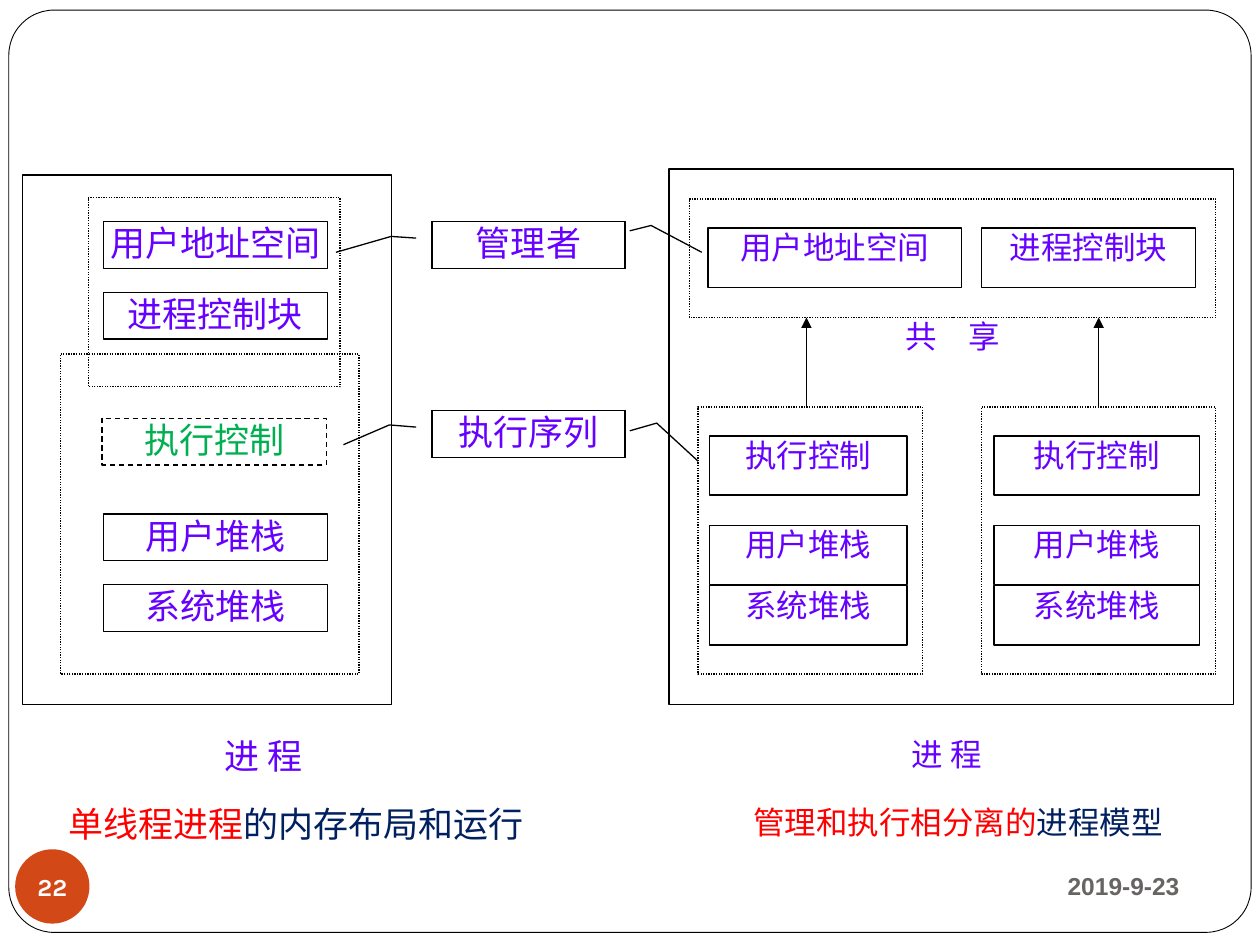
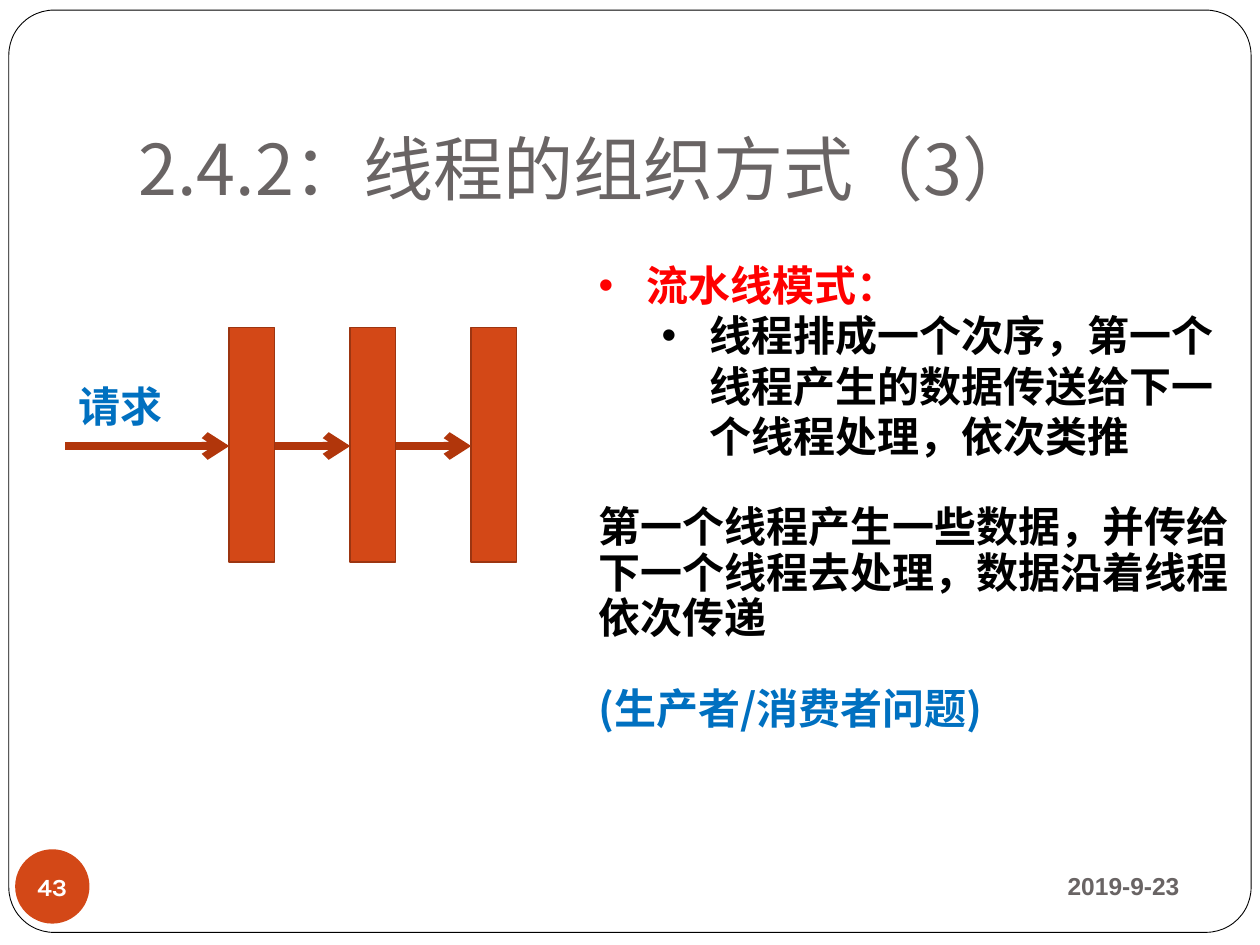
from dataclasses import dataclass

from lxml.etree import SubElement
from pptx import Presentation
from pptx.dml.color import RGBColor
from pptx.enum.dml import MSO_LINE
from pptx.enum.shapes import MSO_CONNECTOR, MSO_SHAPE
from pptx.enum.text import MSO_ANCHOR, MSO_AUTO_SIZE, PP_ALIGN
from pptx.oxml.ns import qn
from pptx.util import Emu, Pt

PX = 9144


@dataclass(frozen=True)
class Theme:
    """Colours, fonts and type sizes shared by the slides."""
    white: str = "FFFFFF"
    black: str = "000000"
    grey: str = "696464"
    orange: str = "D34817"
    bar_edge: str = "9C3511"
    arrow: str = "B1360B"
    violet: str = "6600FF"
    red: str = "FF0000"
    navy: str = "002060"
    green: str = "00B050"
    blue: str = "0070C0"
    cjk: str = "Noto Sans CJK SC"
    date_font: str = "Arial"
    number_font: str = "Karla"
    title_size: int = 40
    body_size: int = 24
    left_size: int = 20
    right_size: int = 18
    footer_size: int = 14


THEME = Theme()
DATE = "2019-9-23"


def px(*lengths):
    """Turn px lengths into EMU."""
    return [Emu(length * PX) for length in lengths]


def within(box, left, top, width, height):
    """Move a box given relative to its parent onto the slide."""
    return box[0] + left, box[1] + top, width, height


def place(placeholder, box):
    """Move a placeholder to a box."""
    placeholder.left, placeholder.top, placeholder.width, placeholder.height = px(*box)


def set_font(paragraph, size, color, name=THEME.cjk, bold=False):
    """Set the font that every run of a paragraph shares."""
    font = paragraph.font
    font.size, font.name, font.bold = Pt(size), name, bold
    font.color.rgb = RGBColor.from_string(color)
    SubElement(paragraph._p.pPr.find(qn("a:defRPr")), qn("a:ea"), typeface=name)


def write(shape, text, size, color, align=PP_ALIGN.CENTER, anchor=MSO_ANCHOR.TOP,
          inset=(0, 0), name=THEME.cjk, bold=False, wrap=True):
    """Write one paragraph, either plain or as (text, colour) runs."""
    frame = shape.text_frame
    frame.word_wrap, frame.vertical_anchor = wrap, anchor
    frame.margin_left = frame.margin_right = Emu(inset[0] * PX)
    frame.margin_top = frame.margin_bottom = Emu(inset[1] * PX)
    paragraph = frame.paragraphs[0]
    paragraph.alignment = align
    set_font(paragraph, size, color, name, bold)
    for words, shade in [(text, None)] if isinstance(text, str) else text:
        run = paragraph.add_run()
        run.text = words
        if shade:
            run.font.color.rgb = RGBColor.from_string(shade)


def panel(shapes, box, fill=THEME.white, line=THEME.black, weight=0.75,
          dash=None, kind=MSO_SHAPE.RECTANGLE):
    """Draw a flat shape."""
    shape = shapes.add_shape(kind, *px(*box))
    shape.shadow.inherit = False
    if fill:
        shape.fill.solid()
        shape.fill.fore_color.rgb = RGBColor.from_string(fill)
    else:
        shape.fill.background()
    if line:
        shape.line.color.rgb = RGBColor.from_string(line)
        shape.line.width = Pt(weight)
        if dash:
            shape.line.dash_style = dash
    else:
        shape.line.fill.background()
    return shape


def arrow(shapes, start, end, color, weight, head):
    """Draw a straight arrow."""
    connector = shapes.add_connector(MSO_CONNECTOR.STRAIGHT, *px(*start, *end))
    connector.line.color.rgb = RGBColor.from_string(color)
    connector.line.width = Pt(weight)
    SubElement(connector.line._get_or_add_ln(), qn("a:tailEnd"), type=head)
    SubElement(connector._element.spPr, qn("a:effectLst"))


def slide_frame(slide, number):
    """Draw the rounded border, date and slide number."""
    border = panel(slide.shapes, (7, 8, 986, 732), fill=None, weight=0.5,
                   kind=MSO_SHAPE.ROUNDED_RECTANGLE)
    border.adjustments[0] = 0.049
    date = slide.shapes.add_textbox(*px(675, 677, 271, 52))
    write(date, DATE, THEME.footer_size, THEME.grey, PP_ALIGN.RIGHT,
          MSO_ANCHOR.MIDDLE, (10, 5), THEME.date_font, True)
    badge = panel(slide.shapes, (12, 674, 59, 59), THEME.orange, None,
                  kind=MSO_SHAPE.OVAL)
    write(badge, number, THEME.footer_size, THEME.white,
          anchor=MSO_ANCHOR.MIDDLE, name=THEME.number_font, bold=True, wrap=False)


def single_thread_process(shapes, box):
    """Draw the process whose management and execution overlap."""
    panel(shapes, box, fill=None)
    for top, part in ((37, "用户地址空间"), (93, "进程控制块"),
                      (269, "用户堆栈"), (325, "系统堆栈")):
        write(panel(shapes, within(box, 64, top, 178, 37)),
              part, THEME.left_size, THEME.violet)
    execution = panel(shapes, within(box, 63, 193, 178, 37), dash=MSO_LINE.DASH)
    write(execution, "执行控制", THEME.left_size, THEME.green)
    for scope in ((52, 18, 200, 150), (30, 142, 237, 254)):
        panel(shapes, within(box, *scope), fill=None, dash=MSO_LINE.ROUND_DOT)
    name = shapes.add_textbox(*px(*within(box, 64, 444, 254, 37)))
    write(name, "进 程", THEME.left_size, THEME.violet, inset=(10, 0))


def thread(shapes, box, inner):
    """Draw one thread with its control block and stacks."""
    panel(shapes, box, dash=MSO_LINE.ROUND_DOT)
    left, width = inner
    for top, part in ((23, "执行控制"), (94, "用户堆栈"), (142, "系统堆栈")):
        write(panel(shapes, within(box, left, top, width, 47)),
              part, THEME.right_size, THEME.violet)


def separated_process(shapes, box):
    """Draw the process whose threads share one managed space."""
    panel(shapes, box)
    panel(shapes, within(box, 16, 24, 418, 94), dash=MSO_LINE.ROUND_DOT)
    for left, width, part in ((31, 201, "用户地址空间"), (248, 170, "进程控制块")):
        write(panel(shapes, within(box, left, 47, width, 47)),
              part, THEME.right_size, THEME.violet)
    shared = shapes.add_textbox(*px(*within(box, 140, 118, 170, 47)))
    write(shared, "共　享", THEME.right_size, THEME.violet)
    for left, width, inner, arrow_x in ((23, 178, (9, 157), 109),
                                        (248, 186, (10, 163), 341)):
        thread(shapes, within(box, left, 189, width, 212), inner)
        x, top = box[0] + arrow_x, box[1]
        arrow(shapes, (x, top + 189), (x, top + 118), THEME.black, 0.75, "triangle")
    name = panel(shapes, within(box, 59, 449, 323, 47), line=None)
    write(name, "进 程", THEME.right_size, THEME.violet)


def role_callouts(shapes, box):
    """Draw the two roles, each pointing to both processes."""
    roles = (
        (0, "管理者", ((0.353, -0.083, 0.317, -0.213, 0.657, -0.499),
                    (0.196, 1.025, 0.081, 1.136, 0.657, 1.399))),
        (150, "执行序列", ((0.353, -0.083, 0.306, -0.222, 0.729, -0.46),
                       (0.432, 1.025, 0.266, 1.165, 1.083, 1.38))),
    )
    for top, role, pointers in roles:
        for pointer in pointers:
            callout = panel(shapes, within(box, 0, top, box[2], 37),
                            kind=MSO_SHAPE.LINE_CALLOUT_2)
            for index, position in enumerate(pointer):
                callout.adjustments[index] = position
            write(callout, role, THEME.left_size, THEME.violet, inset=(10, 0))


def caption(shapes, box, subject, rest, size):
    """Write a model's caption with its subject in red."""
    write(panel(shapes, box, line=THEME.white),
          ((subject, THEME.red), (rest, THEME.navy)), size, THEME.navy,
          PP_ALIGN.JUSTIFY)


def process_models_slide(deck):
    """Build the comparison of the two process models."""
    slide = deck.slides.add_slide(deck.slide_layouts[6])
    slide_frame(slide, "22")
    shapes = slide.shapes
    single_thread_process(shapes, (18, 139, 293, 420))
    separated_process(shapes.add_group_shape().shapes, (531, 134, 448, 425))
    role_callouts(shapes, (343, 176, 153, 187))
    caption(shapes, (598, 637, 332, 44), "管理和执行相分离的", "进程模型", THEME.right_size)
    caption(shapes, (54, 637, 377, 38), "单线程进程", "的内存布局和运行", THEME.left_size)


def pipeline(shapes, box):
    """Draw a request passing through three threads."""
    arrow_y = box[1] + 94
    start = box[0]
    for stage in range(3):
        bar = within(box, 130 + 96 * stage, 0, 36, 186)
        panel(shapes, bar, THEME.orange, THEME.bar_edge, 1)
        arrow(shapes, (start, arrow_y), (bar[0], arrow_y), THEME.arrow, 4.5, "arrow")
        start = bar[0] + bar[2]
    request = shapes.add_textbox(*px(*within(box, 0, 37, 88, 50)))
    write(request, "请求", THEME.body_size, THEME.blue, inset=(10, 5),
          bold=True, wrap=False)


def pipeline_notes(body, box):
    """Fill the body with the description of the pipeline mode."""
    place(body, box)
    frame = body.text_frame
    frame.word_wrap, frame.auto_size = True, MSO_AUTO_SIZE.NONE
    notes = (
        ("流水线模式：", THEME.red, 0, 38, 1.0, 0),
        ("线程排成一个次序，第一个线程产生的数据传送给下一个线程处理，依次类推",
         THEME.black, 1, 88, 1.0, 0),
        ("第一个线程产生一些数据，并传给下一个线程去处理，数据沿着线程依次传递",
         THEME.black, 0, 0, 0.9, 26),
        ("(生产者/消费者问题)", THEME.blue, 0, 0, 0.9, 26),
    )
    for index, (text, color, level, margin, spacing, before) in enumerate(notes):
        paragraph = frame.add_paragraph() if index else frame.paragraphs[0]
        paragraph.text, paragraph.level = text, level
        properties = paragraph._p.get_or_add_pPr()
        properties.set("marL", str(margin * PX))
        properties.set("indent", str(-38 * PX if margin else 0))
        if margin:
            SubElement(properties, qn("a:buFont"), typeface="Arial")
            SubElement(properties, qn("a:buChar"), char="•")
        else:
            SubElement(properties, qn("a:buNone"))
        paragraph.line_spacing, paragraph.space_before = spacing, Pt(before)
        set_font(paragraph, THEME.body_size, color, bold=True)


def pipeline_slide(deck):
    """Build the slide on the pipeline organisation of threads."""
    slide = deck.slides.add_slide(deck.slide_layouts[1])
    slide_frame(slide, "43")
    title, body = slide.placeholders
    place(title, (100, 95, 850, 115))
    write(title, "2.4.2：线程的组织方式（3）", THEME.title_size, THEME.grey,
          PP_ALIGN.LEFT, inset=(10, 5))
    pipeline_notes(body, (465, 201, 535, 390))
    pipeline(slide.shapes, (52, 260, 358, 186))


def main():
    """Build and save the deck."""
    deck = Presentation()
    deck.slide_width, deck.slide_height = px(1000, 750)
    process_models_slide(deck)
    pipeline_slide(deck)
    deck.save("out.pptx")


if __name__ == "__main__":
    main()
